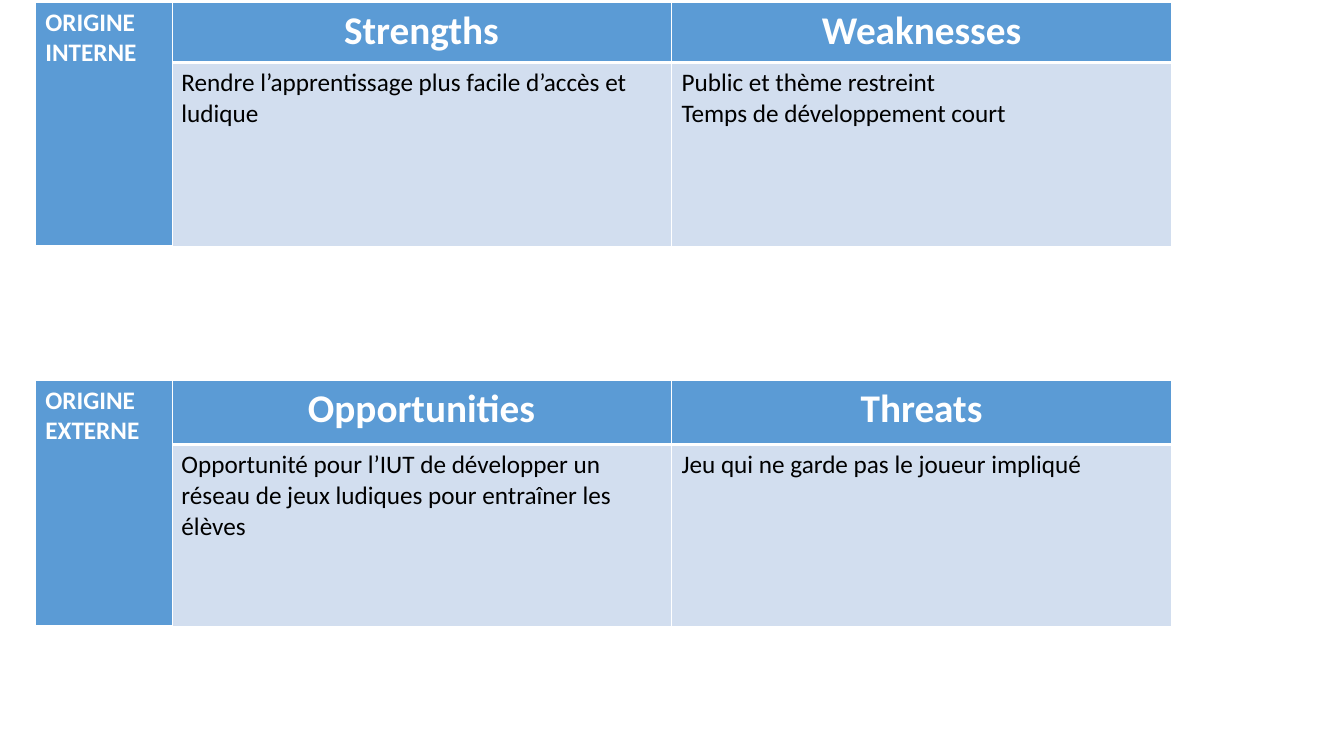
import pptx
import pptx.dml.color
import pptx.enum.text
import pptx.oxml.ns
import pptx.util
from lxml import etree
from pptx.util import Inches

THEME = {
    "font": "Calibri",
    "header": "5B9BD5",
    "body": "D2DEEF",
    "light": "FFFFFF",
    "dark": "000000",
    "heading_size": 28,
    "text_size": 18,
    "thin": 1,
    "thick": 3,
}

BANDS = [
    {
        "origin": "ORIGINE INTERNE",
        "top": 0.02,
        "rows": [0.6, 1.83],
        "headings": ["Strengths", "Weaknesses"],
        "texts": [
            "Rendre l’apprentissage plus facile d’accès et ludique",
            "Public et thème restreint\nTemps de développement court",
        ],
    },
    {
        "origin": "ORIGINE EXTERNE",
        "top": 3.77,
        "rows": [0.64, 1.81],
        "headings": ["Opportunities", "Threats"],
        "texts": [
            "Opportunité pour l’IUT de développer un réseau de jeux "
            "ludiques pour entraîner les élèves",
            "Jeu qui ne garde pas le joueur impliqué",
        ],
    },
]

ORIGIN_LEFT, ORIGIN_WIDTH = 0.35, 1.36
MATRIX_LEFT, MATRIX_COLUMN = 1.7, 4.96


def set_borders(cell, top, bottom):
    """Draw light borders around a cell, with the given top and bottom widths."""
    properties = cell._tc.get_or_add_tcPr()
    widths = {"lnL": THEME["thin"], "lnR": THEME["thin"], "lnT": top, "lnB": bottom}
    for tag, points in widths.items():
        line = etree.SubElement(properties, pptx.oxml.ns.qn("a:" + tag),
                                w=str(pptx.util.Pt(points)))
        fill = etree.SubElement(line, pptx.oxml.ns.qn("a:solidFill"))
        etree.SubElement(fill, pptx.oxml.ns.qn("a:srgbClr"), val=THEME["light"])


def fill_cell(cell, text, header, size, centred=False):
    """Write and format one cell as a header or as body text."""
    set_borders(cell,
                THEME["thin"] if header else THEME["thick"],
                THEME["thick"] if header else THEME["thin"])
    cell.fill.solid()
    cell.fill.fore_color.rgb = pptx.dml.color.RGBColor.from_string(
        THEME["header" if header else "body"])
    cell.text_frame.text = text
    for paragraph in cell.text_frame.paragraphs:
        if centred:
            paragraph.alignment = pptx.enum.text.PP_ALIGN.CENTER
        for span in paragraph.runs:
            span.font.name = THEME["font"]
            span.font.size = pptx.util.Pt(size)
            span.font.bold = header
            span.font.color.rgb = pptx.dml.color.RGBColor.from_string(
                THEME["light" if header else "dark"])


def add_grid(page, left, top, columns, rows):
    """Add a table with the given column widths and row heights in inches."""
    frame = page.shapes.add_table(len(rows), len(columns), Inches(left), Inches(top),
                                  Inches(sum(columns)), Inches(sum(rows)))
    table = frame.table
    table.horz_banding = False
    for column, width in zip(table.columns, columns):
        column.width = Inches(width)
    for row, height in zip(table.rows, rows):
        row.height = Inches(height)
    return table


def add_matrix(page, band):
    """Add the two headed columns of one band."""
    table = add_grid(page, MATRIX_LEFT, band["top"], [MATRIX_COLUMN] * 2, band["rows"])
    for index, (heading, text) in enumerate(zip(band["headings"], band["texts"])):
        fill_cell(table.cell(0, index), heading, True, THEME["heading_size"], centred=True)
        fill_cell(table.cell(1, index), text, False, THEME["text_size"])


def add_origin(page, band):
    """Add the side label that spans the height of one band."""
    table = add_grid(page, ORIGIN_LEFT, band["top"], [ORIGIN_WIDTH], [sum(band["rows"])])
    fill_cell(table.cell(0, 0), band["origin"], True, THEME["text_size"])


deck = pptx.Presentation()
deck.slide_width, deck.slide_height = Inches(13.33), Inches(7.5)
page = deck.slides.add_slide(deck.slide_layouts.get_by_name("Blank"))
for add_part in (add_matrix, add_origin):
    for band in BANDS:
        add_part(page, band)
deck.save("out.pptx")
